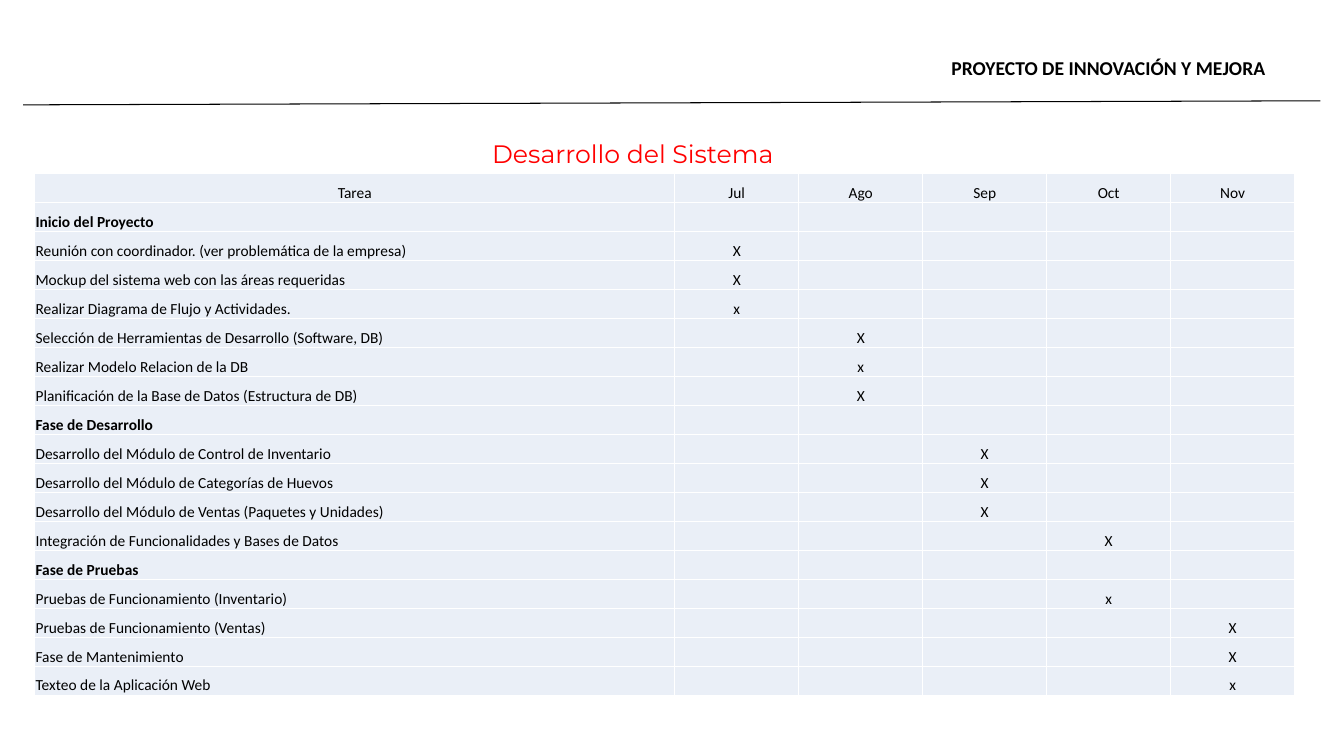
from lxml.etree import SubElement
from pptx import Presentation
from pptx.dml.color import RGBColor
from pptx.enum.shapes import MSO_CONNECTOR, MSO_SHAPE
from pptx.enum.text import MSO_ANCHOR, MSO_AUTO_SIZE, PP_ALIGN
from pptx.oxml.ns import qn
from pptx.util import Pt

COLOURS = {"text": "000000", "title": "FF0000", "cell": "EAEFF7", "white": "FFFFFF"}
MONTHS = ["Jul", "Ago", "Sep", "Oct", "Nov"]
PHASES = [
    ("Inicio del Proyecto", [
        ("Reunión con coordinador. (ver problemática de la empresa)", "Jul", "X"),
        ("Mockup del sistema web con las áreas requeridas", "Jul", "X"),
        ("Realizar Diagrama de Flujo y Actividades.", "Jul", "x"),
        ("Selección de Herramientas de Desarrollo (Software, DB)", "Ago", "X"),
        ("Realizar Modelo Relacion de la DB", "Ago", "x"),
        ("Planificación de la Base de Datos (Estructura de DB)", "Ago", "X"),
    ]),
    ("Fase de Desarrollo", [
        ("Desarrollo del Módulo de Control de Inventario", "Sep", "X"),
        ("Desarrollo del Módulo de Categorías de Huevos", "Sep", "X"),
        ("Desarrollo del Módulo de Ventas (Paquetes y Unidades)", "Sep", "X"),
        ("Integración de Funcionalidades y Bases de Datos", "Oct", "X"),
    ]),
    ("Fase de Pruebas", [
        ("Pruebas de Funcionamiento (Inventario)", "Oct", "x"),
        ("Pruebas de Funcionamiento (Ventas)", "Nov", "X"),
        ("Fase de Mantenimiento", "Nov", "X"),
        ("Texteo de la Aplicación Web", "Nov", "x"),
    ]),
]
TASK_WIDTH, MONTH_WIDTH, ROW_HEIGHT = 457.2, 88.56, 20.72


def colour(name):
    return RGBColor.from_string(COLOURS[name])


def write(para, text, size, font="Calibri", ink="text", bold=False, align=PP_ALIGN.LEFT):
    para.text = text
    para.alignment = align
    for span in para.runs:
        span.font.size = Pt(size)
        span.font.name = font
        span.font.bold = bold
        span.font.color.rgb = colour(ink)


def add_rule(page):
    rule = page.shapes.add_connector(
        MSO_CONNECTOR.STRAIGHT, Pt(16.6), Pt(74.9), Pt(943.2), Pt(72))
    rule.line.color.rgb = colour("text")
    rule.line.width = Pt(0.75)
    SubElement(rule._element.spPr, qn("a:effectLst"))


def add_header(page, text):
    box = page.shapes.add_shape(
        MSO_SHAPE.RECTANGLE, Pt(672.5), Pt(35.3), Pt(270.7), Pt(23.8))
    box.shadow.inherit = False
    box.fill.solid()
    box.fill.fore_color.rgb = colour("white")
    box.line.fill.background()
    box.text_frame.word_wrap = True
    box.text_frame.vertical_anchor = MSO_ANCHOR.TOP
    para = box.text_frame.paragraphs[0]
    write(para, text, 14, bold=True)
    para.line_spacing = 1.07
    para.space_after = Pt(8)


def add_title(page, text):
    box = page.shapes.add_textbox(Pt(331.9), Pt(95), Pt(240.5), Pt(28.8))
    box.text_frame.word_wrap = False
    box.text_frame.auto_size = MSO_AUTO_SIZE.SHAPE_TO_FIT_TEXT
    write(box.text_frame.paragraphs[0], text, 18, "Montserrat", "title",
          align=PP_ALIGN.CENTER)


def add_borders(cell):
    properties = cell._tc.get_or_add_tcPr()
    for side in ("a:lnL", "a:lnR", "a:lnT", "a:lnB"):
        border = SubElement(properties, qn(side), w=str(Pt(1)))
        fill = SubElement(border, qn("a:solidFill"))
        SubElement(fill, qn("a:srgbClr"), val=COLOURS["white"])


def fill_cell(cell, text, bold, align):
    add_borders(cell)
    cell.fill.solid()
    cell.fill.fore_color.rgb = colour("cell")
    cell.margin_left = cell.margin_right = cell.margin_top = Pt(0.6)
    cell.margin_bottom = Pt(0)
    cell.vertical_anchor = MSO_ANCHOR.BOTTOM
    para = cell.text_frame.paragraphs[0]
    if text:
        write(para, text, 11, bold=bold, align=align)
    else:
        SubElement(para._p, qn("a:endParaRPr"), sz="1100")


def schedule_rows():
    rows = [(["Tarea"] + MONTHS, False)]
    for phase, tasks in PHASES:
        rows.append(([phase] + [""] * len(MONTHS), True))
        for task, month, mark in tasks:
            rows.append(([task] + [mark if name == month else "" for name in MONTHS], False))
    return rows


def add_schedule(page):
    rows = schedule_rows()
    widths = [TASK_WIDTH] + [MONTH_WIDTH] * len(MONTHS)
    table = page.shapes.add_table(
        len(rows), len(widths), Pt(24.8), Pt(124.1),
        Pt(sum(widths)), Pt(ROW_HEIGHT * len(rows))).table
    table.first_row = False
    table.horz_banding = False
    for column, width in zip(table.columns, widths):
        column.width = Pt(width)
    for row_index, (texts, bold) in enumerate(rows):
        table.rows[row_index].height = Pt(ROW_HEIGHT)
        for column_index, text in enumerate(texts):
            is_task = column_index == 0 and row_index > 0
            align = PP_ALIGN.LEFT if is_task else PP_ALIGN.CENTER
            fill_cell(table.cell(row_index, column_index), text, bold, align)


def main():
    deck = Presentation()
    deck.slide_width, deck.slide_height = Pt(960), Pt(540)
    page = deck.slides.add_slide(deck.slide_layouts[6])
    add_rule(page)
    add_header(page, "PROYECTO DE INNOVACIÓN Y MEJORA")
    add_title(page, "Desarrollo del Sistema")
    add_schedule(page)
    deck.save("out.pptx")


if __name__ == "__main__":
    main()
